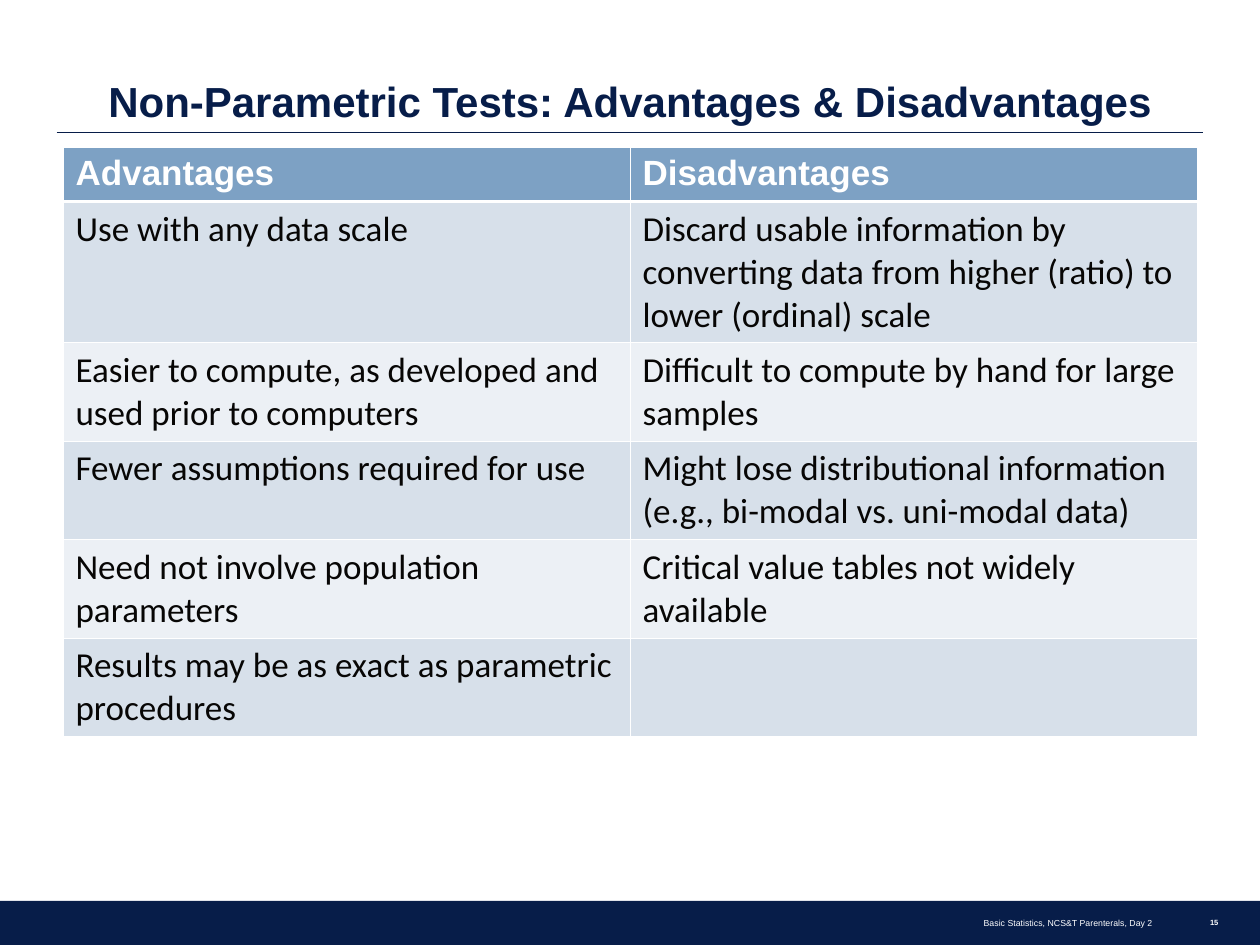
"""Build a slide that compares advantages and disadvantages of non-parametric tests."""
from dataclasses import dataclass

from lxml import etree
from pptx import Presentation
from pptx.dml.color import RGBColor
from pptx.enum.shapes import MSO_CONNECTOR, MSO_SHAPE
from pptx.enum.text import MSO_ANCHOR, PP_ALIGN
from pptx.oxml.ns import qn
from pptx.util import Inches, Pt

STRAIGHT = MSO_CONNECTOR.STRAIGHT
RECTANGLE = MSO_SHAPE.RECTANGLE
CENTER, RIGHT = PP_ALIGN.CENTER, PP_ALIGN.RIGHT
MIDDLE, BOTTOM = MSO_ANCHOR.MIDDLE, MSO_ANCHOR.BOTTOM

WIDTH, HEIGHT = Inches(10), Inches(7.5)
MARGIN = Inches(0.45)
RULE_TOP = Inches(1.05)
FOOTER_HEIGHT = Inches(0.35)
THIN, THICK = 0.45, 1.47
COLORS = {
    "navy": "071D49",
    "white": "FFFFFF",
    "header": "7DA1C4",
    "odd": "D7E0EA",
    "even": "ECF0F5",
    "body": "070605",
}


@dataclass
class Label:
    text: str
    left: float
    top: float
    width: float
    height: float
    size: float
    color: str
    bold: bool
    align: int
    anchor: int
    spacing: float
    right_inset: float = 0.1


@dataclass
class Row:
    advantage: str
    disadvantage: str
    height: float


LABELS = [
    Label("Non-Parametric Tests: Advantages & Disadvantages", 0.45, 0.25, 9.1, 0.8,
          24, "navy", True, CENTER, BOTTOM, 0.9),
    Label("Basic Statistics, NCS&T Parenterals, Day 2", 3.25, 7.23, 6, 0.2,
          5, "white", False, RIGHT, MIDDLE, 0.8),
    Label("15", 9.28, 7.24, 0.39, 0.18, 4.3, "white", True, RIGHT, MIDDLE, 0.8, 0),
]
ROWS = [
    Row("Advantages", "Disadvantages", 0.43),
    Row("Use with any data scale",
        "Discard usable information by converting data from higher (ratio) "
        "to lower (ordinal) scale", 1.12),
    Row("Easier to compute, as developed and used prior to computers",
        "Difficult to compute by hand for large samples", 0.78),
    Row("Fewer assumptions required for use",
        "Might lose distributional information (e.g., bi-modal vs. uni-modal data)", 0.78),
    Row("Need not involve population parameters",
        "Critical value tables not widely available", 0.78),
    Row("Results may be as exact as parametric procedures", "", 0.78),
]


def rgb(name: str) -> RGBColor:
    return RGBColor.from_string(COLORS[name])


def style_font(paragraph, name: str, size: float, color: str, bold: bool) -> None:
    font = paragraph.font
    font.name, font.size, font.bold = name, Pt(size), bold
    font.color.rgb = rgb(color)


def add_label(slide, label: Label) -> None:
    box = slide.shapes.add_textbox(Inches(label.left), Inches(label.top),
                                   Inches(label.width), Inches(label.height))
    frame = box.text_frame
    frame.word_wrap = True
    frame.vertical_anchor = label.anchor
    frame.margin_right = Inches(label.right_inset)
    paragraph = frame.paragraphs[0]
    paragraph.text = label.text
    paragraph.alignment = label.align
    paragraph.line_spacing = label.spacing
    style_font(paragraph, "Arial", label.size, label.color, label.bold)


def add_footer_band(slide) -> None:
    band = slide.shapes.add_shape(RECTANGLE, 0, HEIGHT - FOOTER_HEIGHT, WIDTH, FOOTER_HEIGHT)
    band.shadow.inherit = False
    band.fill.solid()
    band.fill.fore_color.rgb = rgb("navy")
    band.line.fill.background()


def add_title_rule(slide) -> None:
    rule = slide.shapes.add_connector(STRAIGHT, MARGIN, RULE_TOP, WIDTH - MARGIN, RULE_TOP)
    rule.line.color.rgb = rgb("navy")
    rule.line.width = Pt(0.75)
    etree.SubElement(rule.element.spPr, qn("a:effectLst"))


def set_borders(cell, top: float, bottom: float) -> None:
    properties = cell._tc.get_or_add_tcPr()
    for side, width in (("L", THIN), ("R", THIN), ("T", top), ("B", bottom)):
        border = etree.SubElement(properties, qn(f"a:ln{side}"), w=str(Pt(width)))
        fill = etree.SubElement(border, qn("a:solidFill"))
        etree.SubElement(fill, qn("a:srgbClr"), val=COLORS["white"])


def fill_cell(cell, text: str, row_index: int) -> None:
    is_header = row_index == 0
    set_borders(cell, THICK if row_index == 1 else THIN, THICK if is_header else THIN)
    cell.fill.solid()
    cell.fill.fore_color.rgb = rgb("header" if is_header else "odd" if row_index % 2 else "even")
    paragraph = cell.text_frame.paragraphs[0]
    paragraph.text = text
    if is_header:
        style_font(paragraph, "Arial", 20, "white", True)
    else:
        style_font(paragraph, "Calibri", 20, "body", False)


def add_comparison(slide, rows: list[Row]) -> None:
    total_height = Inches(sum(row.height for row in rows))
    frame = slide.shapes.add_table(len(rows), 2, int(WIDTH * 0.05), Inches(1.17),
                                   int(WIDTH * 0.9), total_height)
    table = frame.table
    for row_index, row in enumerate(rows):
        table.rows[row_index].height = Inches(row.height)
        for column_index, text in enumerate((row.advantage, row.disadvantage)):
            fill_cell(table.cell(row_index, column_index), text, row_index)


def main() -> None:
    presentation = Presentation()
    presentation.slide_width, presentation.slide_height = WIDTH, HEIGHT
    slide = presentation.slides.add_slide(presentation.slide_layouts[6])
    add_footer_band(slide)
    add_title_rule(slide)
    add_comparison(slide, ROWS)
    for label in LABELS:
        add_label(slide, label)
    presentation.save("out.pptx")


if __name__ == "__main__":
    main()
